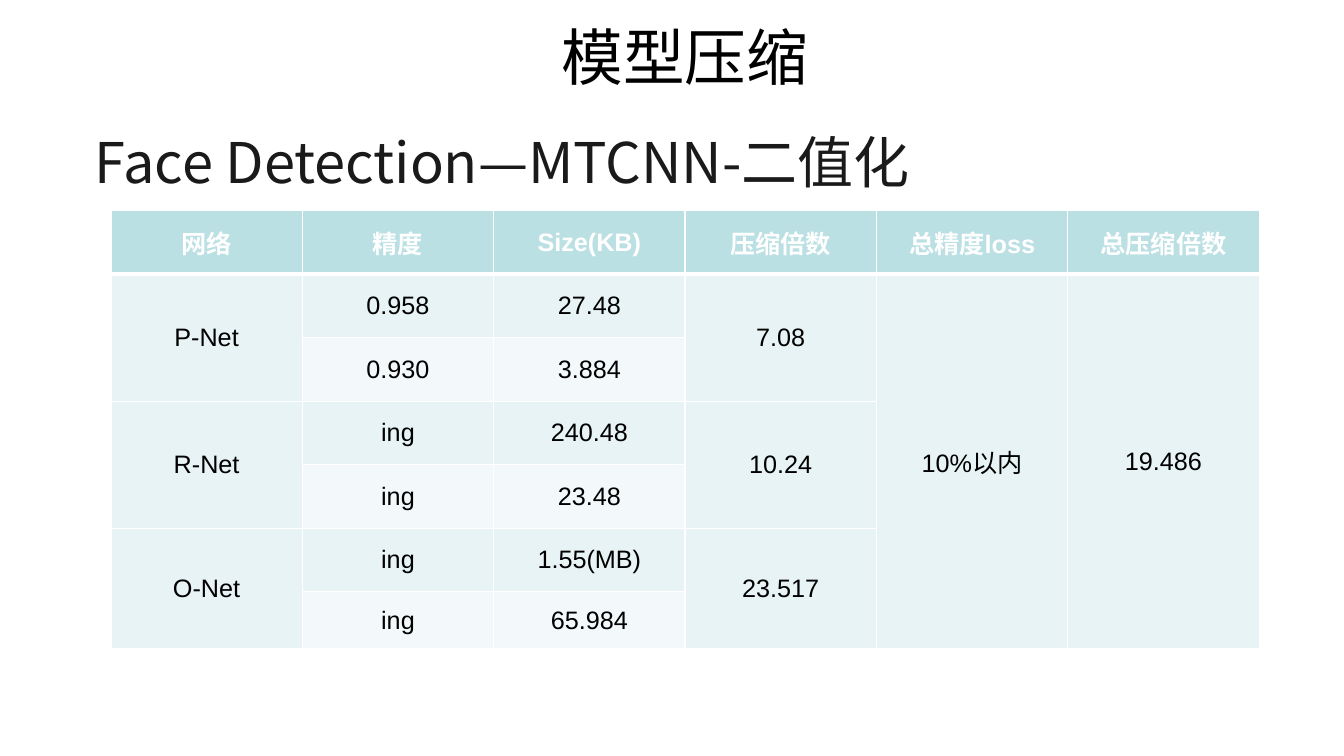
from lxml import etree
from pptx import Presentation
from pptx.dml.color import RGBColor
from pptx.enum.text import MSO_ANCHOR as ANCHOR, MSO_AUTO_SIZE as AUTO, PP_ALIGN as ALIGN
from pptx.oxml.ns import qn
from pptx.util import Inches, Pt

COLORS = {"head": "BBE0E3", "band": "E7F3F4", "light": "F3F9FA",
          "white": "FFFFFF", "black": "000000", "ink": "1A1A1A"}
CJK, LATIN = "Noto Sans CJK SC", "Arial"

HEADERS = ["网络", "精度", "Size(KB)", "压缩倍数", "总精度loss", "总压缩倍数"]
# network, compression ratio, (accuracy, size) before and after
NETWORKS = [
    ("P-Net", "7.08", [("0.958", "27.48"), ("0.930", "3.884")]),
    ("R-Net", "10.24", [("ing", "240.48"), ("ing", "23.48")]),
    ("O-Net", "23.517", [("ing", "1.55(MB)"), ("ing", "65.984")]),
]
TOTALS = ["10%以内", "19.486"]
ROW_HEIGHTS = [0.63] * 6 + [0.57]


class Deck:
    def __init__(self):
        self.prs = Presentation()
        self.prs.slide_width, self.prs.slide_height = Inches(13.33), Inches(7.5)
        self.s = self.prs.slides.add_slide(self.prs.slide_layouts[6])

    def run(self, p, text, size, font, color, bold=False):
        r = p.add_run()
        r.text = text
        r.font.size, r.font.name, r.font.bold = Pt(size), font, bold
        r.font.color.rgb = RGBColor.from_string(COLORS[color])
        if font == CJK:
            etree.SubElement(r.font._element, qn("a:ea"), typeface=font)

    def text(self, box, text, size, color, align=ALIGN.LEFT):
        tf = self.s.shapes.add_textbox(*map(Inches, box)).text_frame
        tf.word_wrap, tf.auto_size = True, AUTO.SHAPE_TO_FIT_TEXT
        p = tf.paragraphs[0]
        p.alignment = align
        self.run(p, text, size, CJK, color)

    def table(self, box, heights, columns):
        table = self.s.shapes.add_table(len(heights), columns, *map(Inches, box)).table
        for row, height in zip(table.rows, heights):
            row.height = Inches(height)
        for r in range(len(heights)):
            for c in range(columns):
                cell = table.cell(r, c)
                banded = r % 2 or c not in (1, 2)
                fill = "head" if r == 0 else "band" if banded else "light"
                cell.fill.solid()
                cell.fill.fore_color.rgb = RGBColor.from_string(COLORS[fill])
                self.borders(cell, top=3 if r == 1 else 1, bottom=3 if r == 0 else 1)
        return table

    def borders(self, cell, top, bottom):
        tcPr = cell._tc.get_or_add_tcPr()
        widths = {"a:lnL": 1, "a:lnR": 1, "a:lnT": top, "a:lnB": bottom}
        for i, (tag, width) in enumerate(widths.items()):
            ln = etree.Element(qn(tag), w=str(Pt(width)))
            fill = etree.SubElement(ln, qn("a:solidFill"))
            etree.SubElement(fill, qn("a:srgbClr"), val=COLORS["white"])
            tcPr.insert(i, ln)

    def cell(self, table, row, col, text, color="black", bold=False, span=1):
        cell = table.cell(row, col)
        if span > 1:
            cell.merge(table.cell(row + span - 1, col))
        cell.vertical_anchor = ANCHOR.MIDDLE
        p = cell.text_frame.paragraphs[0]
        p.alignment = ALIGN.CENTER
        self.run(p, text, 18, LATIN, color, bold)


def main():
    deck = Deck()
    table = deck.table((1.1, 2.09, 11.39, 4.35), ROW_HEIGHTS, len(HEADERS))
    for col, header in enumerate(HEADERS):
        deck.cell(table, 0, col, header, "white", bold=True)
    for i, (name, ratio, results) in enumerate(NETWORKS):
        top = 1 + 2 * i
        deck.cell(table, top, 0, name, span=2)
        deck.cell(table, top, 3, ratio, span=2)
        for row, result in enumerate(results, top):
            for col, value in enumerate(result, 1):
                deck.cell(table, row, col, value)
    for col, total in enumerate(TOTALS, 4):
        deck.cell(table, 1, col, total, span=6)

    deck.text((3.59, 0.14, 6.41, 0.84), "模型压缩", 44, "black", ALIGN.CENTER)
    deck.text((0.84, 1.22, 8.82, 0.77), "Face Detection—MTCNN-二值化", 40, "ink")
    deck.prs.save("out.pptx")


if __name__ == "__main__":
    main()
